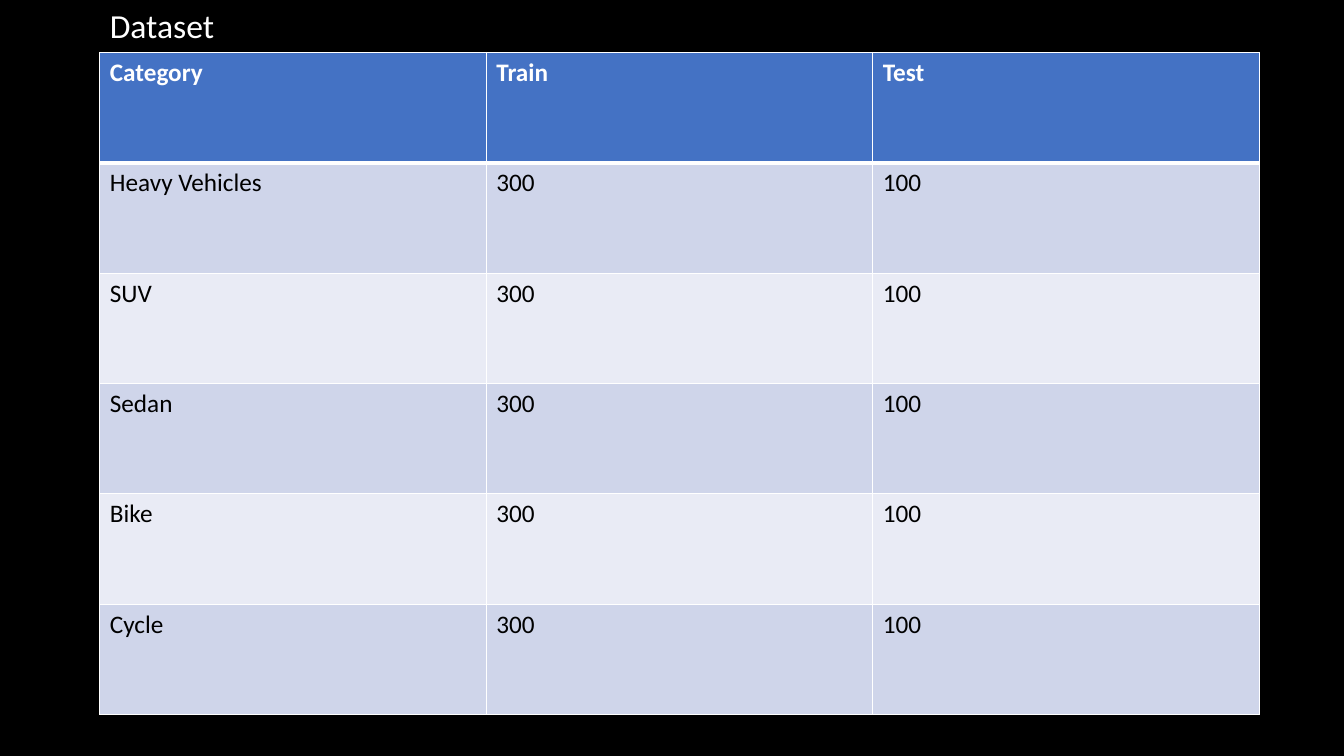
from lxml.etree import SubElement as Sub
from pptx import Presentation
from pptx.dml.color import RGBColor
from pptx.enum.text import MSO_AUTO_SIZE as Auto
from pptx.oxml.ns import qn
from pptx.util import Inches, Pt

BLACK = RGBColor(0x00, 0x00, 0x00)
WHITE = RGBColor(0xFF, 0xFF, 0xFF)
BLUE = RGBColor(0x44, 0x72, 0xC4)
DARK = RGBColor(0xCF, 0xD5, 0xEA)
PALE = RGBColor(0xE9, 0xEB, 0xF5)
FONT = "Calibri"
LEFT = Inches(0.99)
HEAD = ("Category", "Train", "Test")
KINDS = ("Heavy Vehicles", "SUV", "Sedan", "Bike", "Cycle")
ROWS = [HEAD] + [(kind, "300", "100") for kind in KINDS]


def add_run(para, text, size, color, bold=False):
    """Add one styled run to a paragraph."""
    run = para.add_run()
    run.text = text
    font = run.font
    font.name, font.size, font.bold = FONT, Pt(size), bold
    font.color.rgb = color


def add_edge(cell, side, width):
    """Draw one white border of a cell."""
    props = cell._tc.get_or_add_tcPr()
    line = Sub(props, qn(f"a:ln{side}"), w=str(Pt(width)))
    fill = Sub(line, qn("a:solidFill"))
    Sub(fill, qn("a:srgbClr"), val=str(WHITE))


def fill_cell(cell, text, row):
    """Set the borders, fill and text of a cell by its row."""
    head = row == 0
    wide = {(0, "B"), (1, "T")}
    for side in "LRTB":
        add_edge(cell, side, 3 if (row, side) in wide else 1)
    cell.fill.solid()
    cell.fill.fore_color.rgb = BLUE if head else DARK if row % 2 else PALE
    para = cell.text_frame.paragraphs[0]
    add_run(para, text, 18, WHITE if head else BLACK, head)


def add_grid(slide):
    """Add the table of image counts."""
    frame = slide.shapes.add_table(
        len(ROWS), len(HEAD), LEFT, Inches(0.52), Inches(11.5), Inches(6.57))
    for row, texts in enumerate(ROWS):
        for col, text in enumerate(texts):
            fill_cell(frame.table.cell(row, col), text, row)


def add_title(slide, text):
    """Add the heading above the table."""
    box = slide.shapes.add_textbox(LEFT, Inches(0), Inches(1.38), Inches(0.5))
    frame = box.text_frame
    frame.word_wrap = True
    frame.auto_size = Auto.SHAPE_TO_FIT_TEXT
    add_run(frame.paragraphs[0], text, 24, WHITE)


def main():
    """Build and save the slide."""
    deck = Presentation()
    deck.slide_width, deck.slide_height = Inches(13.33), Inches(7.5)
    slide = deck.slides.add_slide(deck.slide_layouts[6])
    back = slide.background.fill
    back.solid()
    back.fore_color.rgb = BLACK
    add_grid(slide)
    add_title(slide, "Dataset")
    deck.save("out.pptx")


if __name__ == "__main__":
    main()
